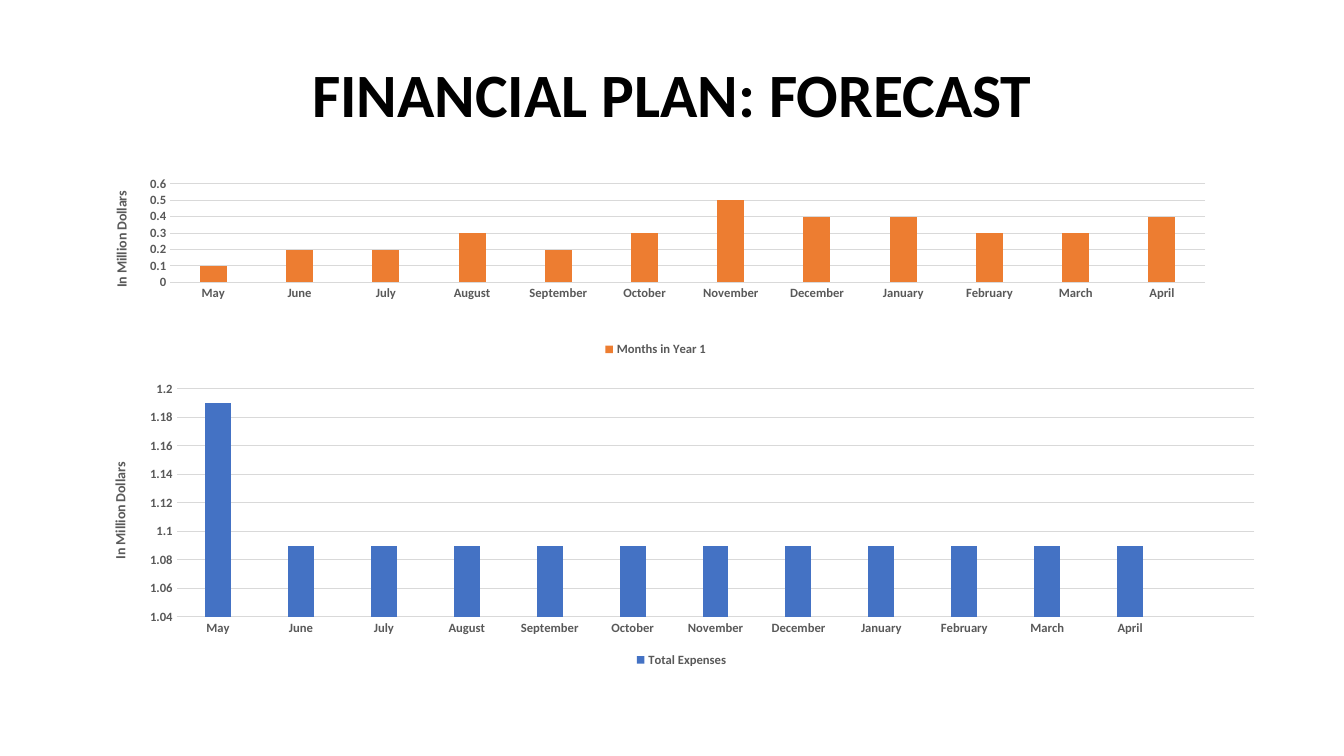
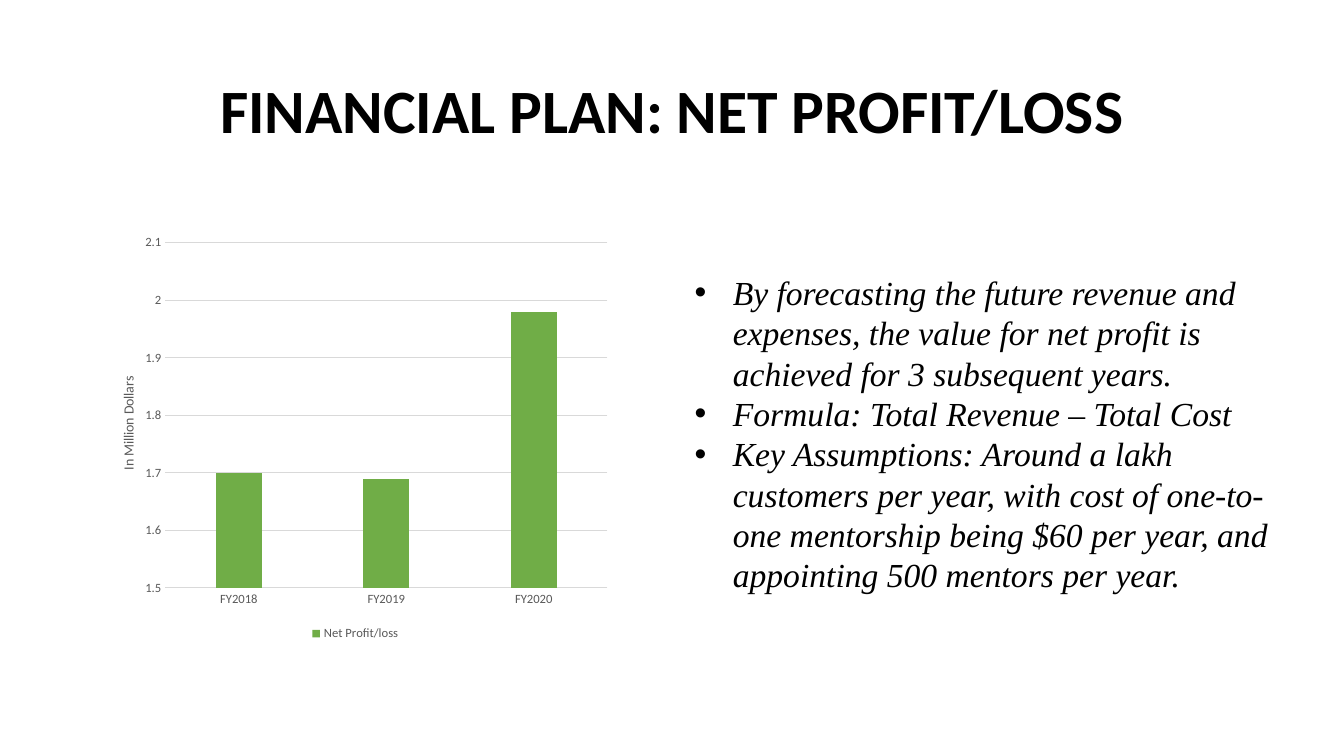
import pptx
import pptx.chart.data
import pptx.dml.color
import pptx.enum.chart
import pptx.enum.text
import pptx.oxml
import pptx.oxml.ns
import pptx.util

RGBColor = pptx.dml.color.RGBColor
BLACK = RGBColor(0x00, 0x00, 0x00)
LABEL_GREY = RGBColor(0x59, 0x59, 0x59)
GRID_GREY = RGBColor(0xD9, 0xD9, 0xD9)
ORANGE = RGBColor(0xED, 0x7D, 0x31)
BLUE = RGBColor(0x44, 0x72, 0xC4)
GREEN = RGBColor(0x70, 0xAD, 0x47)

SLIDE_WIDTH = pptx.util.Inches(13.33)
SLIDE_HEIGHT = pptx.util.Inches(7.5)
BLANK_LAYOUT = 6

HEADING = {"name": "Calibri", "size": pptx.util.Pt(44), "bold": True}
BODY = {"name": "Times New Roman", "size": pptx.util.Pt(24), "italic": True}
BODY_LINE = pptx.util.Pt(28.8)
BULLET_INDENT = pptx.util.Inches(0.38)

MONTHS = ["May", "June", "July", "August", "September", "October",
          "November", "December", "January", "February", "March", "April"]
YEARS = ["FY2018", "FY2019", "FY2020"]
REVENUE = [0.1, 0.2, 0.2, 0.3, 0.2, 0.3, 0.5, 0.4, 0.4, 0.3, 0.3, 0.4]
EXPENSES = [1.19] + [1.09] * 11 + [None]
PROFIT = [1.7, 1.69, 1.98]
NOTES = [
    "By forecasting the future revenue and expenses, the value for net profit "
    "is achieved for 3 subsequent years.",
    "Formula: Total Revenue – Total Cost",
    "Key Assumptions: Around a lakh customers per year, with cost of one-to-one "
    "mentorship being $60 per year, and appointing 500 mentors per year.",
]

CLUSTERED = pptx.enum.chart.XL_CHART_TYPE.COLUMN_CLUSTERED
STACKED = pptx.enum.chart.XL_CHART_TYPE.COLUMN_STACKED


def apply(target, values):
    for name, value in values.items():
        setattr(target, name, value)


def style_font(font, values, color):
    apply(font, values)
    font.color.rgb = color


def place(left, top, width, height):
    """Turn percentages of the slide into lengths."""
    sides = (SLIDE_WIDTH, SLIDE_HEIGHT) * 2
    return [round(side * share / 100)
            for side, share in zip(sides, (left, top, width, height))]


def add_text_box(slide, area, anchor):
    frame = slide.shapes.add_textbox(*place(*area)).text_frame
    apply(frame, {"word_wrap": True, "vertical_anchor": anchor})
    return frame


def add_title(slide, text, height):
    frame = add_text_box(slide, (6.9, 5.33, 86.27, height),
                         pptx.enum.text.MSO_ANCHOR.MIDDLE)
    paragraph = frame.paragraphs[0]
    apply(paragraph, {"text": text, "line_spacing": 0.9,
                      "alignment": pptx.enum.text.PP_ALIGN.CENTER})
    style_font(paragraph.runs[0].font, HEADING, BLACK)


def add_bullets(slide, lines, area):
    frame = add_text_box(slide, area, pptx.enum.text.MSO_ANCHOR.TOP)
    for number, line in enumerate(lines):
        paragraph = frame.add_paragraph() if number else frame.paragraphs[0]
        apply(paragraph, {"text": line, "line_spacing": BODY_LINE})
        style_font(paragraph.runs[0].font, BODY, BLACK)
        properties = paragraph._p.get_or_add_pPr()
        properties.set("marL", str(BULLET_INDENT))
        properties.set("indent", str(-BULLET_INDENT))
        for tag, key, value in (("a:buFont", "typeface", "Arial"),
                                ("a:buChar", "char", "•")):
            bullet = pptx.oxml.ns.qn(tag)
            properties.makeelement(bullet)
            child = properties.makeelement(bullet, {key: value})
            properties.append(child)


def set_layout(element, index, shares, inner=False):
    """Fix a chart part at percentages of the chart's size."""
    for existing in element.findall(pptx.oxml.ns.qn("c:layout")):
        element.remove(existing)
    settings = [("layoutTarget", "inner")] if inner else []
    settings += [("xMode", "edge"), ("yMode", "edge")]
    settings += [(key, round(share / 100, 4)) for key, share in zip("xywh", shares)]
    children = "".join(f'<c:{key} val="{value}"/>' for key, value in settings)
    namespace = pptx.oxml.ns.nsdecls("c")
    element.insert(index, pptx.oxml.parse_xml(
        f"<c:layout {namespace}><c:manualLayout>{children}</c:manualLayout></c:layout>"))


def style_axis(axis, label_font):
    apply(axis, {"major_tick_mark": pptx.enum.chart.XL_TICK_MARK.NONE,
                 "minor_tick_mark": pptx.enum.chart.XL_TICK_MARK.NONE})
    style_font(axis.tick_labels.font, label_font, LABEL_GREY)


def style_grey_line(line):
    line.color.rgb = GRID_GREY
    line.width = pptx.util.Pt(0.75)


def style_value_axis(axis, label_font, scale, title_at):
    style_axis(axis, label_font)
    low, high, step = scale
    apply(axis, {"minimum_scale": low, "maximum_scale": high, "major_unit": step,
                 "has_major_gridlines": True})
    axis.format.line.fill.background()
    style_grey_line(axis.major_gridlines.format.line)
    frame = axis.axis_title.text_frame
    frame.text = "In Million Dollars"
    title_font = {**label_font, "size": pptx.util.Pt(10)}
    style_font(frame.paragraphs[0].runs[0].font, title_font, LABEL_GREY)
    body = frame._txBody.bodyPr
    body.set("rot", "-5400000")
    body.set("vert", "horz")
    set_layout(axis.axis_title._element, 1, title_at)


def add_column_chart(slide, area, kind, categories, name, values, color, scale,
                     plot_at, title_at, bold=False, legend_at=None):
    data = pptx.chart.data.CategoryChartData()
    data.categories = categories
    data.add_series(name, values)
    chart = slide.shapes.add_chart(kind, *place(*area), data).chart
    label_font = {"name": "Calibri", "size": pptx.util.Pt(9), "bold": bold}
    apply(chart, {"has_title": False, "has_legend": True})
    style_font(chart.font, label_font, LABEL_GREY)

    plot = chart.plots[0]
    apply(plot, {"gap_width": 219, "overlap": 100 if kind == STACKED else -27,
                 "vary_by_categories": False})
    fill = plot.series[0].format.fill
    fill.solid()
    fill.fore_color.rgb = color
    set_layout(chart._chartSpace.chart.plotArea, 0, plot_at, inner=True)

    style_axis(chart.category_axis, label_font)
    style_grey_line(chart.category_axis.format.line)
    style_value_axis(chart.value_axis, label_font, scale, title_at)

    apply(chart.legend, {"position": pptx.enum.chart.XL_LEGEND_POSITION.BOTTOM,
                         "include_in_layout": False})
    style_font(chart.legend.font, label_font, LABEL_GREY)
    if legend_at:
        set_layout(chart.legend._element, 1, legend_at)


def build_forecast(slide):
    add_title(slide, "FINANCIAL PLAN: FORECAST", 15.2)
    add_column_chart(slide, (3.75, 21.47, 88.3, 34.4), CLUSTERED, MONTHS,
                     "Months in Year 1", REVENUE, ORANGE, (0, 0.6, 0.1),
                     plot_at=(10.1, 8.3, 87.2, 37.9), title_at=(5, 10),
                     bold=True, legend_at=(46, 67, 10, 10))
    add_column_chart(slide, (6.3, 49.73, 88.82, 39.07), STACKED, MONTHS + [""],
                     "Total Expenses", EXPENSES, BLUE, (1.04, 1.2, 0.02),
                     plot_at=(7.7, 4.4, 90.3, 77.2), title_at=(2, 28.4), bold=True)


def build_profit(slide):
    add_title(slide, "FINANCIAL PLAN: NET PROFIT/LOSS", 19.33)
    add_column_chart(slide, (6.9, 30.13, 39.08, 55.2), CLUSTERED, YEARS,
                     "Net Profit/loss", PROFIT, GREEN, (1.5, 2.1, 0.1),
                     plot_at=(13.8, 3.6, 84.2, 82.7), title_at=(4.6, 35))
    add_bullets(slide, NOTES, (50.94, 35.33, 46.96, 44))


def main():
    presentation = pptx.Presentation()
    apply(presentation, {"slide_width": SLIDE_WIDTH, "slide_height": SLIDE_HEIGHT})
    for build in (build_forecast, build_profit):
        build(presentation.slides.add_slide(presentation.slide_layouts[BLANK_LAYOUT]))
    presentation.save("out.pptx")


if __name__ == "__main__":
    main()
